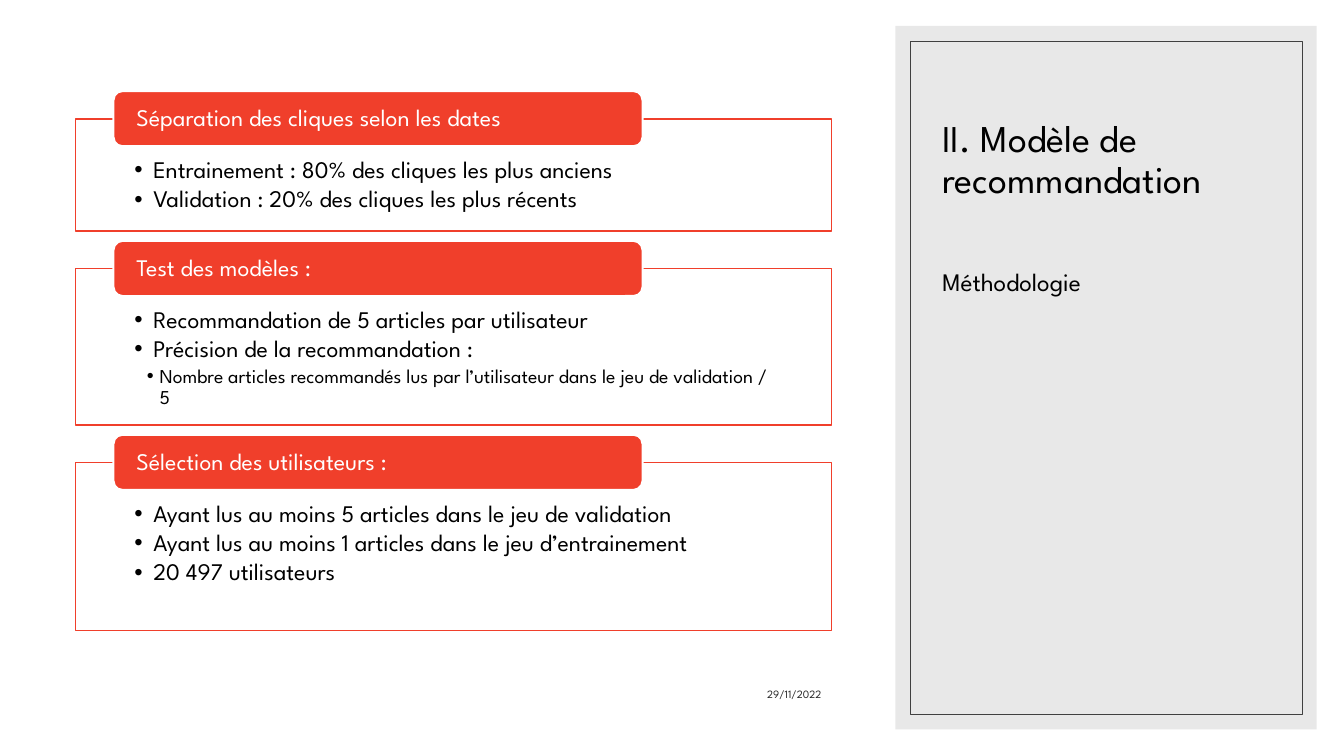
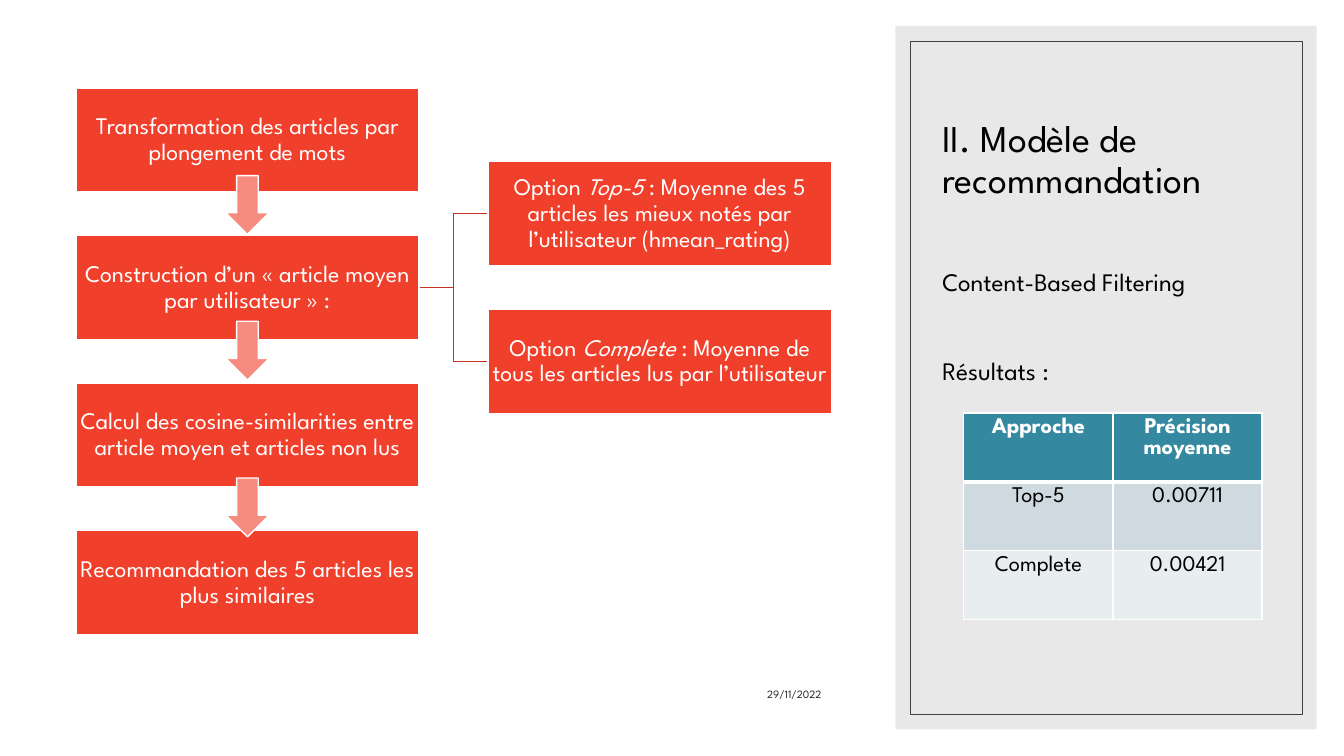
from dataclasses import dataclass

from lxml import etree
from pptx import Presentation
from pptx import util as u
from pptx.dml.color import RGBColor
from pptx.enum import shapes, text
from pptx.oxml import ns

Pt = u.Pt
FONT = "League Spartan"
COLORS = {
    "red": "F03F2B", "dark_red": "C03222", "pink": "F68C80",
    "panel": "E8E8E8", "frame": "404040", "date": "262626",
    "teal": "3488A0", "row_dark": "CEDADF", "row_light": "E8EDF0",
    "white": "FFFFFF", "black": "000000",
}
TITLE = "II. Modèle de recommandation"
DATE = "29/11/2022"
LEFT, CONTENT_W = 54, 540


@dataclass
class Run:
    text: str
    italic: bool = False


@dataclass
class Para:
    runs: list[Run]
    size: float = 17
    before: float = 0
    bullet_indent: tuple[float, float] | None = None  # margin, hanging


@dataclass
class Card:
    heading: str
    height: float
    bullets: list[Para]


def plain(words: str, **kwargs) -> Para:
    return Para([Run(words)], **kwargs)


def bullet(words: str) -> Para:
    return plain(words, bullet_indent=(13.5, 13.5))


def sub_bullet(words: str) -> Para:
    return plain(words, size=14, bullet_indent=(18, 9))


CARDS = [
    Card("Séparation des cliques selon les dates", 80, [
        bullet("Entrainement : 80% des cliques les plus anciens"),
        bullet("Validation : 20% des cliques les plus récents")]),
    Card("Test des modèles :", 111.5, [
        bullet("Recommandation de 5 articles par utilisateur"),
        bullet("Précision de la recommandation :"),
        sub_bullet("Nombre articles recommandés lus par l’utilisateur "
                   "dans le jeu de validation / 5")]),
    Card("Sélection des utilisateurs :", 120, [
        bullet("Ayant lus au moins 5 articles dans le jeu de validation"),
        bullet("Ayant lus au moins 1 articles dans le jeu d’entrainement"),
        bullet("20 497 utilisateurs")]),
]
STEPS = [
    plain("Transformation des articles par plongement de mots"),
    plain("Construction d’un « article moyen par utilisateur » :"),
    plain("Calcul des cosine-similarities entre article moyen et articles non lus"),
    plain("Recommandation des 5 articles les plus similaires"),
]
OPTIONS = [
    Para([Run("Option "), Run("Top-5 ", True),
          Run(": Moyenne des 5 articles les mieux notés par l’utilisateur (hmean_rating)")]),
    Para([Run("Option"), Run(" Complete", True),
          Run(" : Moyenne de tous les articles lus par l’utilisateur")]),
]
RESULTS = [("Approche", "Précision moyenne"), ("Top-5", "0.00711"), ("Complete", "0.00421")]


def rgb(name: str) -> RGBColor:
    return RGBColor.from_string(COLORS[name])


def write(tf, paras: list[Para], *, color="black", bold=False, align="LEFT",
          anchor="TOP", spacing=0.9, after=0.0, insets=(7.2, 3.6, 7.2, 3.6)) -> None:
    """Fill a text frame; insets run left, top, right, bottom."""
    tf.word_wrap = True
    tf.vertical_anchor = text.MSO_ANCHOR[anchor]
    tf.margin_left, tf.margin_top, tf.margin_right, tf.margin_bottom = map(Pt, insets)
    for i, para in enumerate(paras):
        p = tf.add_paragraph() if i else tf.paragraphs[0]
        p.alignment = text.PP_ALIGN[align]
        p.line_spacing = spacing
        p.space_before, p.space_after = Pt(para.before), Pt(after)
        for run in para.runs:
            r = p.add_run()
            r.text = run.text
            r.font.name, r.font.size = FONT, Pt(para.size)
            r.font.bold, r.font.italic = bold, run.italic
            r.font.color.rgb = rgb(color)
        if para.bullet_indent:
            margin, hanging = para.bullet_indent
            pPr = p._p.get_or_add_pPr()
            pPr.set("marL", str(Pt(margin)))
            pPr.set("indent", str(-Pt(hanging)))
            etree.SubElement(pPr, ns.qn("a:buFont")).set("typeface", "Arial")
            etree.SubElement(pPr, ns.qn("a:buChar")).set("char", "•")


def add_text(s, x: float, y: float, w: float, h: float, paras: list[Para], **fmt) -> None:
    write(s.shapes.add_textbox(Pt(x), Pt(y), Pt(w), Pt(h)).text_frame, paras, **fmt)


def add_box(s, x: float, y: float, w: float, h: float, *, kind="RECTANGLE",
            fill=None, line=None, width=1.0):
    sp = s.shapes.add_shape(shapes.MSO_SHAPE[kind], Pt(x), Pt(y), Pt(w), Pt(h))
    sp.shadow.inherit = False
    if fill:
        sp.fill.solid()
        sp.fill.fore_color.rgb = rgb(fill)
    else:
        sp.fill.background()
    if line:
        sp.line.color.rgb = rgb(line)
        sp.line.width = Pt(width)
    else:
        sp.line.fill.background()
    return sp


def add_elbow(s, x1: float, y1: float, x2: float, y2: float) -> None:
    c = s.shapes.add_connector(shapes.MSO_CONNECTOR.ELBOW, Pt(x1), Pt(y1), Pt(x2), Pt(y2))
    c.line.color.rgb = rgb("dark_red")
    c.line.width = Pt(1)
    etree.SubElement(c._element.spPr, ns.qn("a:effectLst"))


def add_base(prs, body: list[Para]):
    """New slide with the side panel, its title and text, and the date."""
    s = prs.slides.add_slide(prs.slide_layouts[6])
    add_box(s, 639.5, 18.5, 301, 502.5, fill="panel")
    add_box(s, 650, 29.5, 280, 481, line="frame", width=0.5)
    add_text(s, 666, 47.5, 249, 100, [plain(TITLE, size=27)], anchor="BOTTOM")
    add_text(s, 666, 184.5, 249, 283.5, body, spacing=1.1)
    add_text(s, 440, 475, 154, 29, [plain(DATE, size=8)], color="date",
             align="RIGHT", anchor="BOTTOM", spacing=1.0, after=6)
    return s


def add_cards(s) -> None:
    y = 85
    for card in CARDS:
        sp = add_box(s, LEFT, y, CONTENT_W, card.height, fill="white", line="red")
        write(sp.text_frame, card.bullets, after=2.5, insets=(42, 28, 42, 9))
        tab = add_box(s, 81, y - 20, 378, 39.5, kind="ROUNDED_RECTANGLE",
                      fill="red", line="white", width=1.5)
        write(tab.text_frame, [plain(card.heading)], color="white",
              anchor="MIDDLE", insets=(14.5, 0, 14.5, 0))
        y += card.height + 27


def add_flow(s) -> None:
    w, h, top, pitch = 245.5, 75, 62.5, 105.4
    option_x = LEFT + CONTENT_W - w
    step_tops = [top + i * pitch for i in range(len(STEPS))]
    option_tops = [top + (i + 0.5) * pitch for i in range(len(OPTIONS))]
    # Branches from the second step to its options
    for y in option_tops:
        add_elbow(s, LEFT + w, step_tops[1] + h / 2, option_x, y + h / 2)
    # Steps and options
    places = [(LEFT, y) for y in step_tops] + [(option_x, y) for y in option_tops]
    for (x, y), para in zip(places, STEPS + OPTIONS):
        sp = add_box(s, x, y, w, h, fill="red", line="white", width=1.5)
        write(sp.text_frame, [para], color="white", align="CENTER",
              anchor="MIDDLE", insets=(0.75,) * 4)
    # Arrows between steps
    for y in (125.5, 229.5, 341.5):
        add_box(s, LEFT + w / 2 - 15.5, y, 31, 42, kind="DOWN_ARROW",
                fill="pink", line="white")


def set_borders(cell, widths: dict[str, float]) -> None:
    tcPr = cell._tc.get_or_add_tcPr()
    for side, width in widths.items():
        ln = etree.SubElement(tcPr, ns.qn(f"a:ln{side}"), w=str(Pt(width)))
        fill = etree.SubElement(ln, ns.qn("a:solidFill"))
        etree.SubElement(fill, ns.qn("a:srgbClr"), val=COLORS["white"])


def add_results(s) -> None:
    table = s.shapes.add_table(3, 2, Pt(688.5), Pt(295), Pt(213), Pt(147.5)).table
    fills = ("teal", "row_dark", "row_light")
    for i, (row, fill) in enumerate(zip(RESULTS, fills)):
        head = i == 0
        table.rows[i].height = Pt(49.5 if head else 49)
        for j, words in enumerate(row):
            cell = table.cell(i, j)
            set_borders(cell, {"L": 1, "R": 1, "T": 3 if i == 1 else 1, "B": 3 if head else 1})
            cell.fill.solid()
            cell.fill.fore_color.rgb = rgb(fill)
            write(cell.text_frame, [plain(words, size=16)], align="CENTER", spacing=1.0,
                  bold=head, color="white" if head else "black")


def main() -> None:
    prs = Presentation()
    prs.slide_width, prs.slide_height = Pt(960), Pt(540)
    # Method
    add_cards(add_base(prs, [plain("Méthodologie", size=18, before=8)]))
    # Content-based filtering
    s = add_base(prs, [plain("Content-Based Filtering", size=18, before=8),
                       plain("Résultats :", size=18, before=40)])
    add_flow(s)
    add_results(s)
    prs.save("out.pptx")


if __name__ == "__main__":
    main()
